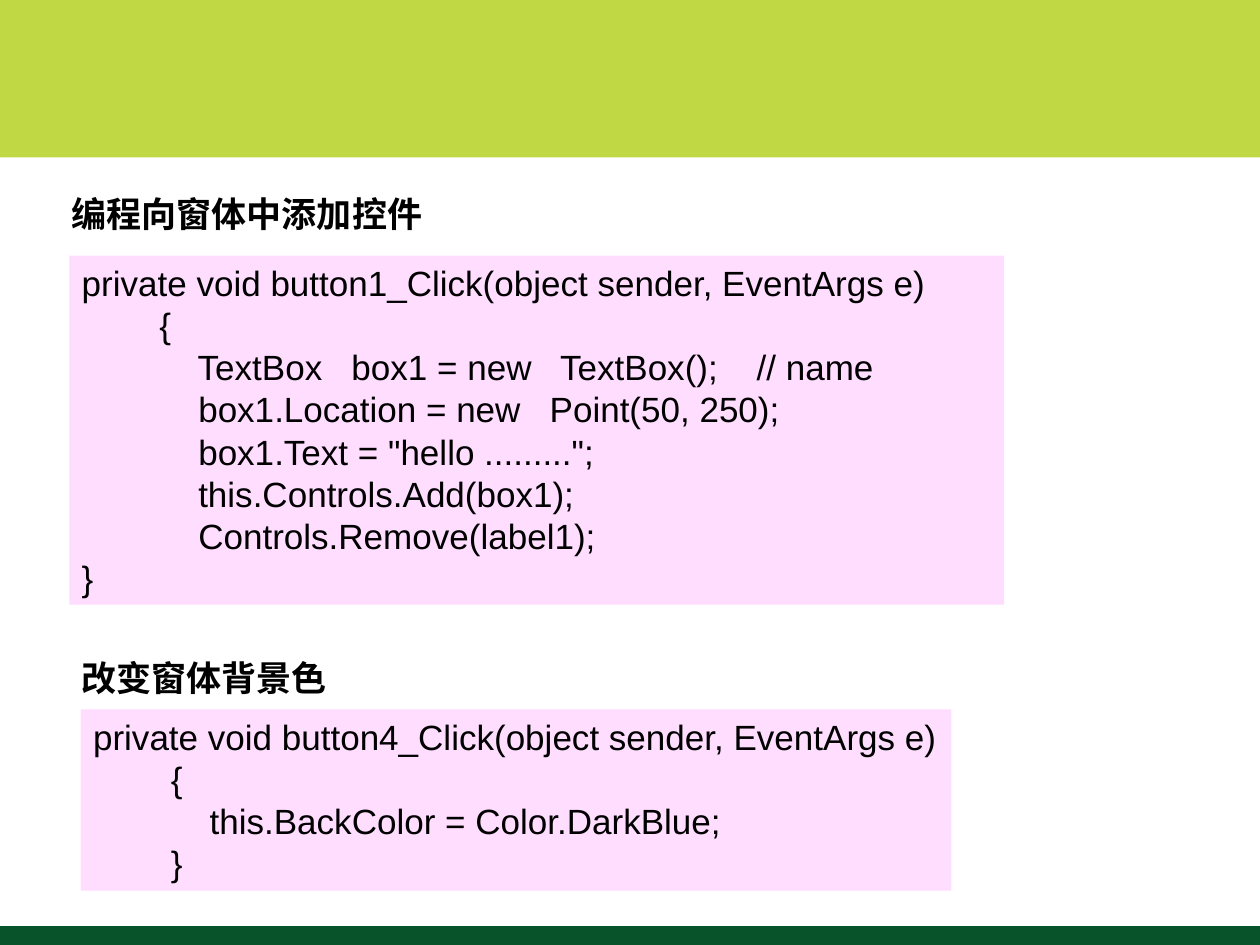
from pptx import Presentation
from pptx.dml.color import RGBColor
from pptx.enum.shapes import MSO_SHAPE
from pptx.enum.text import MSO_ANCHOR, PP_ALIGN
from pptx.util import Inches, Pt

RECTANGLE = MSO_SHAPE.RECTANGLE
TOP = MSO_ANCHOR.TOP
LEFT = PP_ALIGN.LEFT

THEME = {
    "band": RGBColor.from_string("BFD844"),
    "footer": RGBColor.from_string("09532A"),
    "code": RGBColor.from_string("FFDDFF"),
    "text": RGBColor.from_string("000000"),
    "font": "Arial",
    "size": Pt(20),
    "leading": Pt(24),
}

# Content: places are left, top, width, height in inches
BANDS = [("band", (0, 0, 10, 1.25)), ("footer", (0, 7.35, 10, 0.15))]

SECTIONS = [
    {
        "heading": "编程向窗体中添加控件",
        "heading_place": (0.47, 1.48, 4.06, 0.44),
        "code_place": (0.55, 2.03, 7.42, 2.77),
        "wrap": True,
        "code": [
            "private void button1_Click(object sender, EventArgs e)",
            "        {",
            "            TextBox   box1 = new   TextBox();    // name",
            "            box1.Location = new   Point(50, 250);",
            '            box1.Text = "hello .........";',
            "            this.Controls.Add(box1);",
            "            Controls.Remove(label1);",
            "}",
        ],
    },
    {
        "heading": "改变窗体背景色",
        "heading_place": (0.55, 5.16, 2.97, 0.44),
        "code_place": (0.64, 5.63, 6.91, 1.44),
        "wrap": False,
        "code": [
            "private void button4_Click(object sender, EventArgs e)",
            "        {",
            "            this.BackColor = Color.DarkBlue;",
            "        }",
        ],
    },
]


def set_attributes(target, values):
    for name, value in values.items():
        setattr(target, name, value)


def add_rectangle(slide, place, color):
    shape = slide.shapes.add_shape(RECTANGLE, *map(Inches, place))
    shape.shadow.inherit = False
    shape.fill.solid()
    shape.fill.fore_color.rgb = color
    shape.line.fill.background()
    return shape


def write_lines(shape, lines, bold=False, wrap=True):
    frame = shape.text_frame
    set_attributes(frame, {"word_wrap": wrap, "vertical_anchor": TOP})
    for index, line in enumerate(lines):
        paragraph = frame.paragraphs[0] if index == 0 else frame.add_paragraph()
        set_attributes(paragraph, {"alignment": LEFT, "line_spacing": THEME["leading"]})
        run = paragraph.add_run()
        run.text = line
        set_attributes(run.font, {"name": THEME["font"], "size": THEME["size"], "bold": bold})
        run.font.color.rgb = THEME["text"]


def main():
    presentation = Presentation()
    set_attributes(presentation, {"slide_width": Inches(10), "slide_height": Inches(7.5)})
    slide = presentation.slides.add_slide(presentation.slide_layouts[6])

    # Top and bottom bands
    for color, place in BANDS:
        add_rectangle(slide, place, THEME[color])

    # Headings, each with its code panel
    for section in SECTIONS:
        heading = slide.shapes.add_textbox(*map(Inches, section["heading_place"]))
        write_lines(heading, [section["heading"]], bold=True)
        panel = add_rectangle(slide, section["code_place"], THEME["code"])
        write_lines(panel, section["code"], wrap=section["wrap"])

    presentation.save("out.pptx")


if __name__ == "__main__":
    main()
